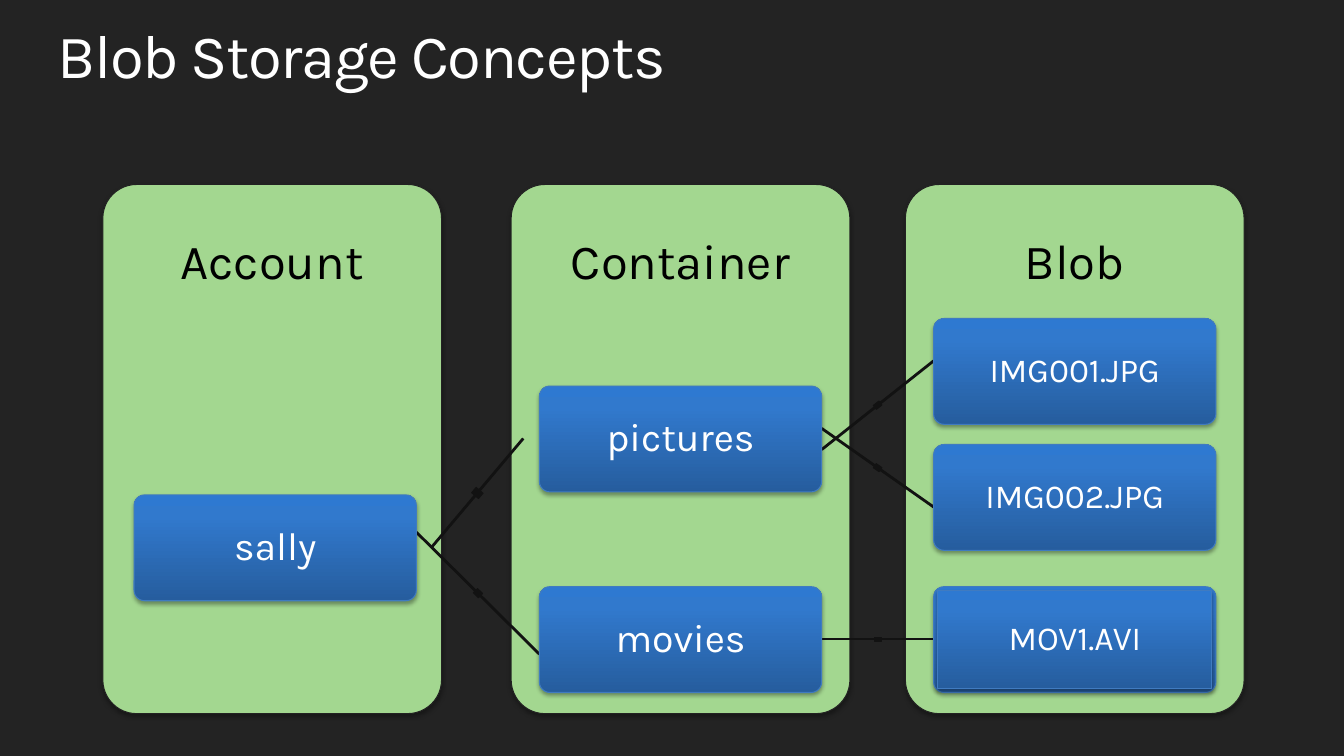
from math import atan2, degrees
from lxml import etree
from pptx import Presentation, util as u
from pptx.dml.color import RGBColor
from pptx.enum import shapes, text
from pptx.oxml import parse_xml
from pptx.oxml.ns import nsdecls, qn

BACK = RGBColor(0x23, 0x23, 0x23)
WHITE = RGBColor(0xFF, 0xFF, 0xFF)
BLACK = RGBColor(0, 0, 0)
GREEN = RGBColor(0xA3, 0xD7, 0x90)
GREEN_EDGE = RGBColor(0x22, 0x22, 0x22)
BLUE_EDGE = RGBColor(0x40, 0x7B, 0xC0)
INK = RGBColor(0x12, 0x12, 0x12)
BLUE_STOPS = [(0, RGBColor(0x26, 0x5D, 0x9E)), (80, RGBColor(0x31, 0x79, 0xCD)),
              (100, RGBColor(0x2E, 0x79, 0xD1))]

TITLE = "Blob Storage Concepts"
PANELS = [("Account", 1.02), ("Container", 5.07), ("Blob", 8.98)]
PANEL_TOP, PANEL_W, PANEL_H, HEAD_H = 1.83, 3.36, 5.25, 1.57
NODE_W, NODE_H, INSET = 2.8, 1.05, 0.04
COLUMNS = [
    (1.33, 28, [("sally", 4.91)]),
    (5.35, 28, [("pictures", 3.83), ("movies", 5.82)]),
    (9.26, 24, [("IMG001.JPG", 3.16), ("IMG002.JPG", 4.41), ("MOV1.AVI", 5.82)]),
]
FRAMED = "MOV1.AVI"
LINKS = [
    ((4.28, 5.43), (5.19, 4.35), 0.09),
    ((4.13, 5.28), (5.35, 6.49), 0.06),
    ((8.15, 4.46), (9.26, 3.58), 0.05),
    ((8.15, 4.25), (9.26, 5.03), 0.05),
    ((8.15, 6.34), (9.26, 6.34), 0.04),
]
KNOT_W = 0.07


def inches(*values):
    return [u.Inches(v) for v in values]


def shadow():
    return parse_xml(
        f'<a:effectLst {nsdecls("a")}><a:outerShdw blurRad="{u.Pt(3.1)}" dist="{u.Pt(1.8)}" '
        'dir="5400000" algn="ctr" rotWithShape="0"><a:srgbClr val="000000">'
        '<a:alpha val="35000"/></a:srgbClr></a:outerShdw></a:effectLst>')


def write(tf, words, size, color=WHITE, align=text.PP_ALIGN.CENTER,
          anchor=text.MSO_ANCHOR.MIDDLE, margin=0, spacing=None, shaded=False):
    tf.word_wrap = True
    tf.vertical_anchor = anchor
    tf.margin_left = tf.margin_right = tf.margin_top = tf.margin_bottom = u.Inches(margin)
    p = tf.paragraphs[0]
    p.alignment, p.line_spacing = align, 0.9
    r = p.add_run()
    r.text = words
    r.font.size, r.font.name = u.Pt(size), "Karla"
    r.font.color.rgb = color
    rPr = r.font._element
    if spacing is not None:
        rPr.set("spc", str(spacing * 100))
    if shaded:
        rPr.find(qn("a:latin")).addprevious(shadow())


def add_block(kind, box, fill, edge, shaded=True):
    sp = s.shapes.add_shape(kind, *inches(*box))
    if kind == shapes.MSO_SHAPE.ROUNDED_RECTANGLE:
        sp.adjustments[0] = 0.1
    if isinstance(fill, list):
        sp.fill.gradient()
        grad = sp._element.spPr.find(qn("a:gradFill"))
        stops = grad.find(qn("a:gsLst"))
        stops.clear()
        for pos, color in fill:
            gs = etree.SubElement(stops, qn("a:gs"), pos=str(pos * 1000))
            etree.SubElement(gs, qn("a:srgbClr"), val=str(color))
        sp.fill.gradient_angle = 90
    else:
        sp.fill.solid()
        sp.fill.fore_color.rgb = fill
    sp.line.color.rgb = edge
    sp.line.width = u.Pt(0.75)
    sp.shadow.inherit = False
    if shaded:
        spPr = sp._element.spPr
        spPr.replace(spPr.find(qn("a:effectLst")), shadow())
    return sp


def add_link(start, end, knot_h):
    line = s.shapes.add_connector(shapes.MSO_CONNECTOR.STRAIGHT, *inches(*start, *end))
    line.line.color.rgb = INK
    line.line.width = u.Pt(2)
    etree.SubElement(line._element.spPr, qn("a:effectLst"))
    (x1, y1), (x2, y2) = start, end
    box = ((x1 + x2 - KNOT_W) / 2, (y1 + y2 - knot_h) / 2, KNOT_W, knot_h)
    knot = add_block(shapes.MSO_SHAPE.RECTANGLE, box, INK, INK, shaded=False)
    knot.rotation = degrees(atan2(y2 - y1, x2 - x1))


prs = Presentation()
prs.slide_width, prs.slide_height = inches(13.33, 7.5)
s = prs.slides.add_slide(prs.slide_layouts[5])
s.background.fill.solid()
s.background.fill.fore_color.rgb = BACK

title = s.shapes.title
title.left, title.top, title.width, title.height = inches(0.57, 0.25, 12.19, 0.67)
write(title.text_frame, TITLE, 44, align=text.PP_ALIGN.LEFT,
      anchor=text.MSO_ANCHOR.TOP, spacing=-1)

ROUND = shapes.MSO_SHAPE.ROUNDED_RECTANGLE
for heading, x in PANELS:
    add_block(ROUND, (x, PANEL_TOP, PANEL_W, PANEL_H), GREEN, GREEN_EDGE)
    tb = s.shapes.add_textbox(*inches(x, PANEL_TOP, PANEL_W, HEAD_H))
    write(tb.text_frame, heading, 35, color=BLACK, margin=0.27)

for link in LINKS:
    add_link(*link)

for x, size, nodes in COLUMNS:
    for name, y in nodes:
        sp = add_block(ROUND, (x, y, NODE_W, NODE_H), BLUE_STOPS, BLUE_EDGE)
        if name == FRAMED:
            inner = (x + INSET, y + INSET, NODE_W - 2 * INSET, NODE_H - 2 * INSET)
            sp = add_block(shapes.MSO_SHAPE.RECTANGLE, inner, BLUE_STOPS, BLUE_EDGE)
        write(sp.text_frame, name, size, margin=0.05, shaded=True)

prs.save("out.pptx")
